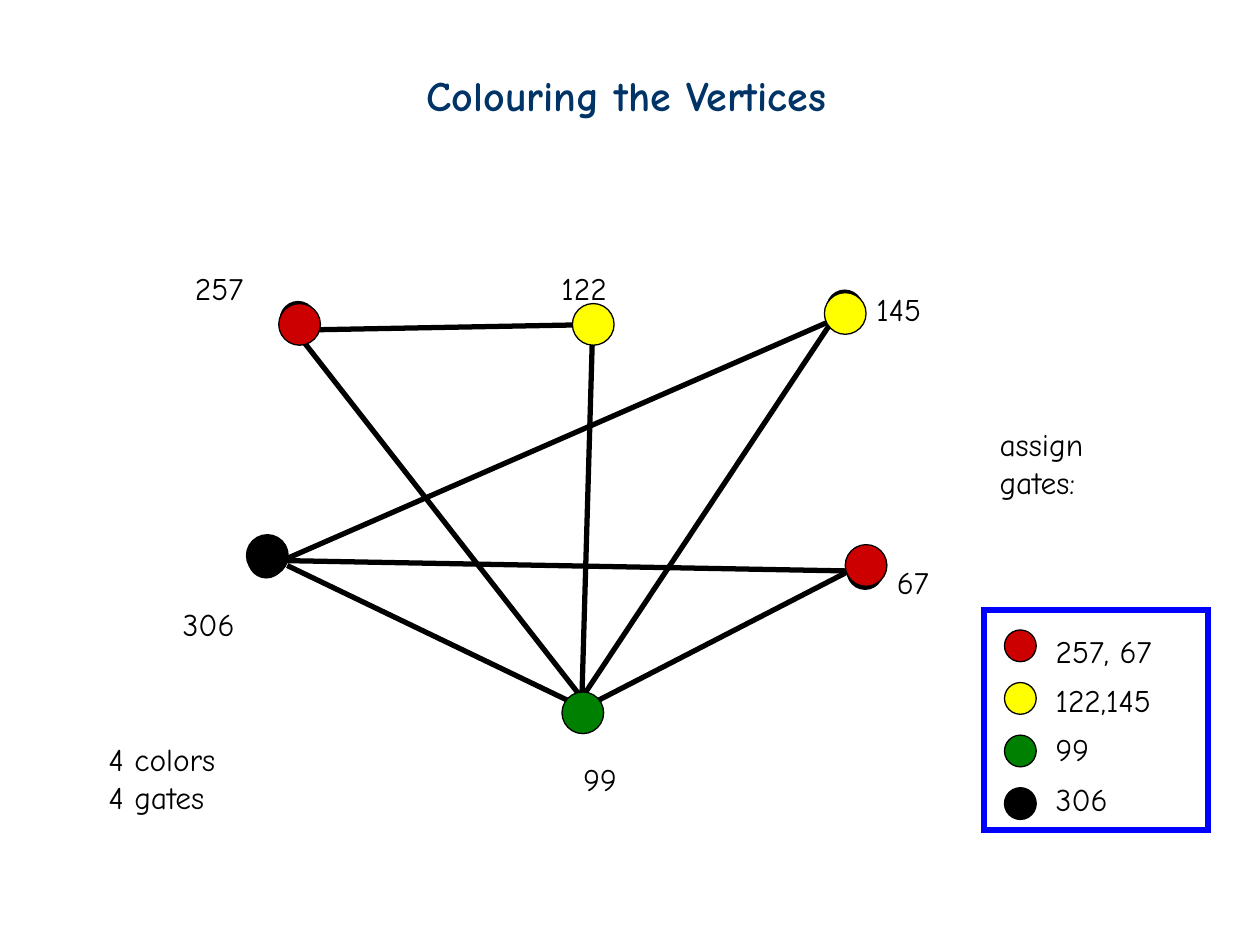
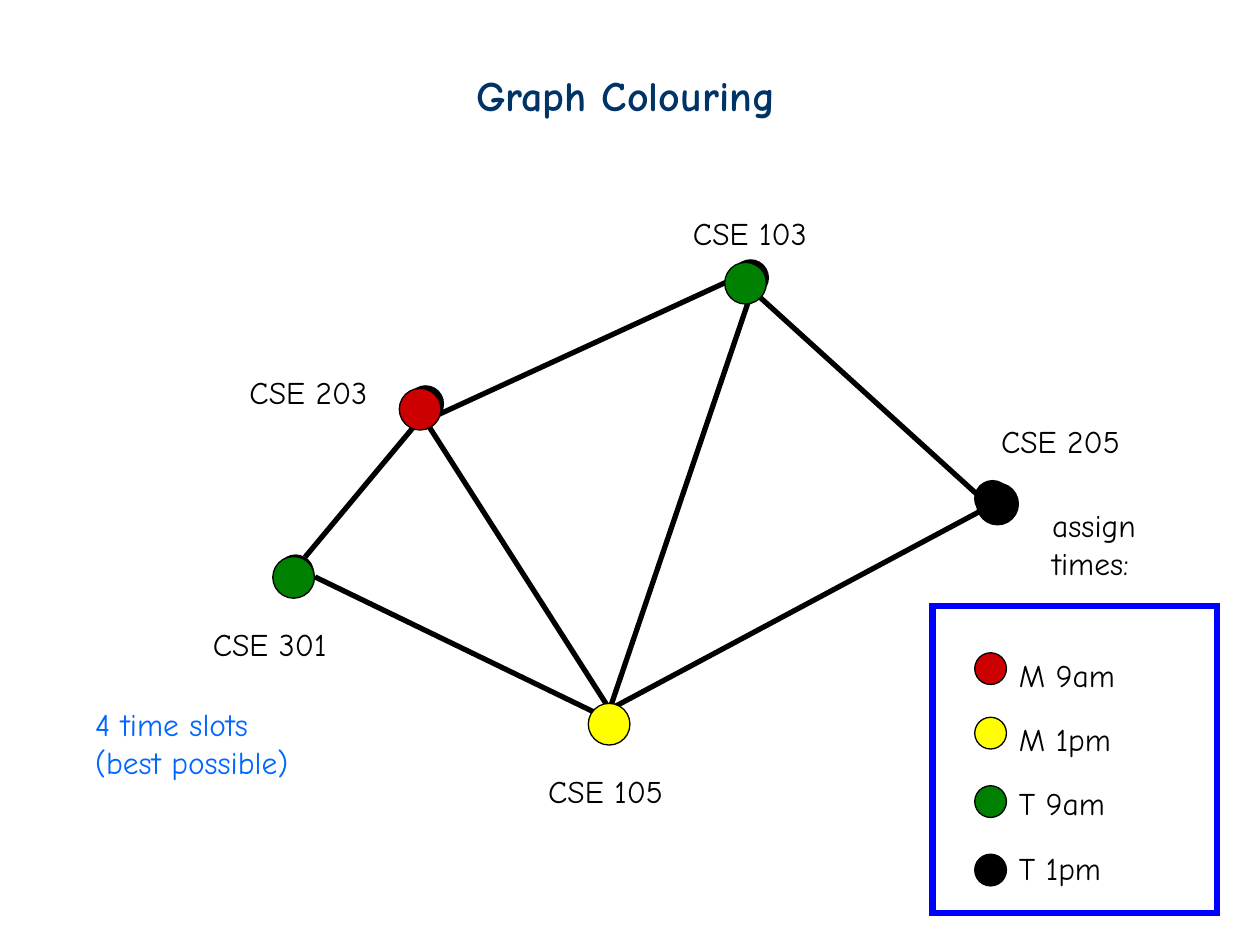
from lxml import etree
from pptx import Presentation, util as u
from pptx.dml.color import RGBColor
from pptx.enum import shapes, text
from pptx.oxml.ns import qn


class Theme:
    font = "Comic Neue"
    title_size, body_size = 24, 18
    title, ink, frame, accent = "003366", "000000", "0000FF", "0066FF"
    red, yellow, green, black = "CC0000", "FFFF00", "008000", "000000"
    thin, edge, frame_width = 0.75, 3, 3.5
    dot, disc = 0.64, 0.84


def add_text(s, box, lines, color=Theme.ink, size=Theme.body_size,
             bold=False, wrap=False, spacing=None):
    tf = s.shapes.add_textbox(*[u.Cm(v) for v in box]).text_frame
    tf.word_wrap = wrap
    tf.auto_size = text.MSO_AUTO_SIZE.SHAPE_TO_FIT_TEXT
    for i, line in enumerate(lines):
        p = tf.add_paragraph() if i else tf.paragraphs[0]
        if i and spacing:
            p.line_spacing = spacing
        r = p.add_run()
        r.text = line
        r.font.name, r.font.size, r.font.bold = Theme.font, u.Pt(size), bold
        r.font.color.rgb = RGBColor.from_string(color)


def add_shape(s, kind, box, fill, line, width):
    sp = s.shapes.add_shape(kind, *[u.Cm(v) for v in box])
    sp.shadow.inherit = False
    if fill:
        sp.fill.solid()
        sp.fill.fore_color.rgb = RGBColor.from_string(fill)
    else:
        sp.fill.background()
    sp.line.color.rgb = RGBColor.from_string(line)
    sp.line.width = u.Pt(width)
    etree.SubElement(sp.line._get_or_add_ln(), qn("a:miter"), lim="800000")


OVAL, RECT = shapes.MSO_SHAPE.OVAL, shapes.MSO_SHAPE.RECTANGLE
LEGEND_COLORS = [Theme.red, Theme.yellow, Theme.green, Theme.black]

# Vertices: label, label left/top/width, dot left/top, disc left/top, colour
# Edges: x1, y1, x2, y2; all lengths in cm
SLIDES = [
    dict(
        title="Colouring the Vertices", title_box=(8.35, 1.27, 8.65, 1.27),
        vertices=[
            ("257", (3.68, 5.3, 1.55), (5.69, 6.12), (5.62, 6.12), Theme.red),
            ("67", (17.83, 11.23, 1.25), (17.12, 11.2), (17.04, 10.98), Theme.red),
            ("122", (11.07, 5.3, 1.5), (11.63, 6.22), (11.54, 6.12), Theme.yellow),
            ("145", (17.42, 5.72, 1.5), (16.71, 5.89), (16.62, 5.9), Theme.yellow),
            ("306", (3.43, 12.07, 1.65), (5.05, 10.97), (4.97, 10.78), Theme.black),
            ("99", (11.51, 15.19, 1.25), (11.4, 14.07), (11.33, 13.95), Theme.green),
        ],
        edges=[
            (5.69, 11.3, 16.79, 6.45), (5.69, 11.3, 17.12, 11.51),
            (6.25, 6.65, 11.63, 6.55), (6.02, 6.76, 11.73, 14.07),
            (11.73, 14.07, 11.94, 6.86), (11.73, 14.07, 16.79, 6.45),
            (11.96, 14.17, 17.12, 11.51), (5.79, 11.4, 11.51, 14.15),
        ],
        notes=[
            ((1.94, 14.8, 2.75, 1.78), ["4 colors", "4 gates"], Theme.ink, False),
            ((19.9, 8.45, 4.37, 1.78), ["assign", "gates:"], Theme.ink, True),
        ],
        frame=(19.83, 12.29, 4.53, 4.45),
        key_left=20.25, key_tops=[12.7, 13.76, 14.82, 15.88],
        key_box=(21.03, 12.62, 2.5, 3.99), key_spacing=1.3,
        key=["257, 67", "122,145", "99", "306"],
    ),
    dict(
        title="Graph Colouring", title_box=(9.35, 1.27, 6.6, 1.27),
        vertices=[
            ("CSE 203", (4.78, 7.39, 2.95), (8.26, 7.82), (8.05, 7.83), Theme.red),
            ("CSE 103", (13.72, 4.19, 2.9), (14.81, 5.28), (14.61, 5.29), Theme.green),
            ("CSE 301", (4.04, 12.47, 2.9), (5.64, 11.23), (5.5, 11.22), Theme.green),
            ("CSE 205", (19.93, 8.38, 3), (19.69, 9.73), (19.69, 9.74), Theme.black),
            ("CSE 105", (10.8, 15.43, 2.9), (11.99, 14.3), (11.86, 14.18), Theme.yellow),
        ],
        edges=[
            (8.79, 8.38, 14.81, 5.61), (8.56, 8.46, 12.29, 14.3),
            (12.29, 14.3, 15.14, 5.92), (12.29, 14.3, 19.79, 10.29),
            (6.35, 11.63, 12.07, 14.4), (6.15, 11.23, 8.46, 8.46),
            (15.24, 5.92, 19.69, 9.96),
        ],
        notes=[
            ((20.96, 10.08, 3.81, 1.78), ["assign", "times:"], Theme.ink, True),
            ((1.67, 14.09, 4.5, 1.78), ["4 time slots", "(best possible)"],
             Theme.accent, False),
        ],
        frame=(18.8, 12.21, 5.74, 6.2),
        key_left=19.65, key_tops=[13.16, 14.46, 15.84, 17.22],
        key_box=(20.29, 13.1, 2.5, 4.9), key_spacing=1.7,
        key=["M 9am", "M 1pm", "T 9am", "T 1pm"],
    ),
]

prs = Presentation()
prs.slide_width, prs.slide_height = u.Cm(25.4), u.Cm(19.05)

for d in SLIDES:
    s = prs.slides.add_slide(prs.slide_layouts[6])

    # Title and notes
    add_text(s, d["title_box"], [d["title"]], Theme.title, Theme.title_size, bold=True)
    for box, lines, color, wrap in d["notes"]:
        add_text(s, box, lines, color, wrap=wrap)

    # Labels and uncoloured vertices
    for label, place, dot, disc, color in d["vertices"]:
        add_text(s, (*place, 1.02), [label])
        add_shape(s, OVAL, (*dot, Theme.dot, Theme.dot),
                  Theme.accent, Theme.ink, Theme.edge)

    # Edges
    for ends in d["edges"]:
        c = s.shapes.add_connector(shapes.MSO_CONNECTOR.STRAIGHT,
                                   *[u.Cm(v) for v in ends])
        c.line.color.rgb = RGBColor.from_string(Theme.ink)
        c.line.width = u.Pt(Theme.edge)
        etree.SubElement(c._element.spPr, qn("a:effectLst"))

    # Colours of the vertices
    for label, place, dot, disc, color in d["vertices"]:
        add_shape(s, OVAL, (*disc, Theme.disc, Theme.disc),
                  color, Theme.ink, Theme.thin)

    # Legend
    add_shape(s, RECT, d["frame"], None, Theme.frame, Theme.frame_width)
    for top, color in zip(d["key_tops"], LEGEND_COLORS):
        add_shape(s, OVAL, (d["key_left"], top, Theme.dot, Theme.dot),
                  color, Theme.ink, Theme.thin)
    add_text(s, d["key_box"], d["key"], spacing=d["key_spacing"])

prs.save("out.pptx")
